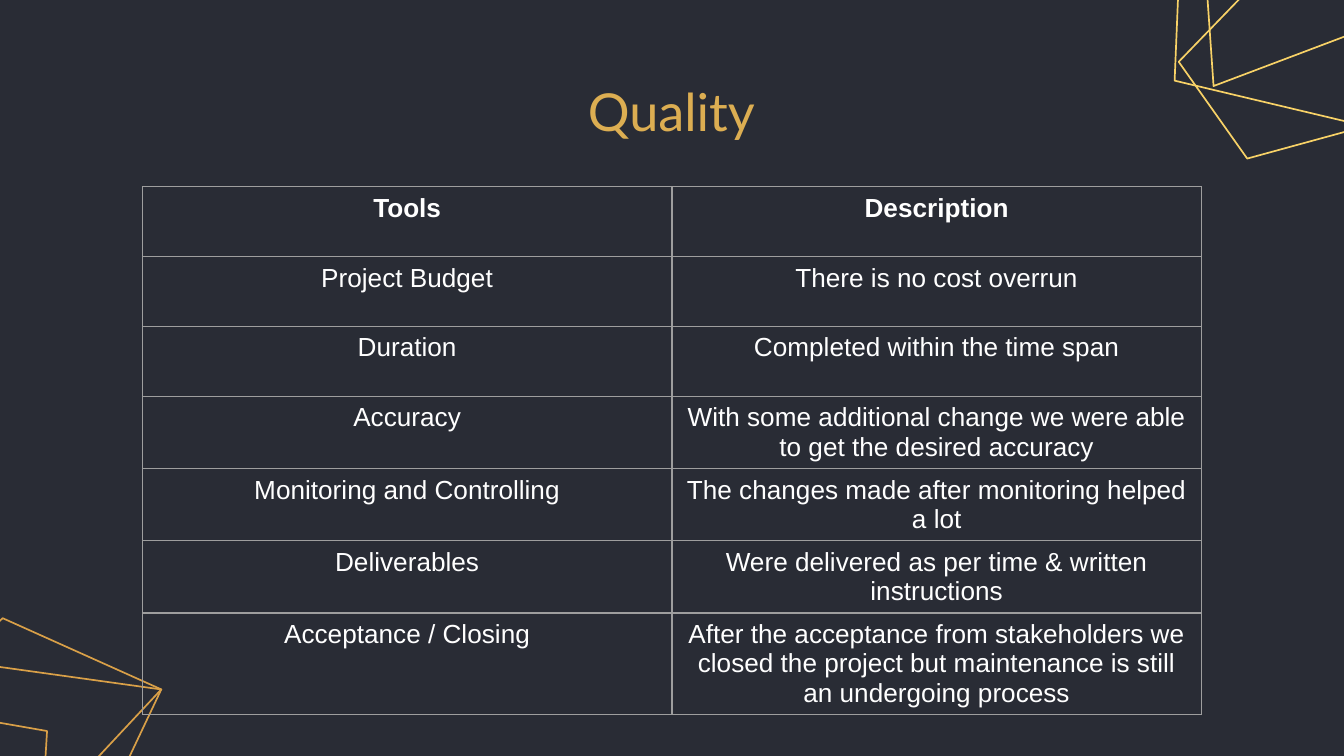
from lxml import etree
from pptx import Presentation
from pptx import util as u
from pptx.dml import color
from pptx.enum import text
from pptx.oxml import ns

GOLD, PALE, DEEP = "DCAE52", "F8D267", "D9A048"
WHITE, GREY, DARK = "FFFFFF", "9E9E9E", "292C35"

TOP = [
    [(9.03, 0.64), (8.87, -1.66), (11.71, -1.27), (11.2, -0.18)],
    [(8.74, 0.6), (8.79, -0.6), (10.48, -1.2), (11.4, -1.06),
     (11.37, -0.48), (10.42, 1)],
    [(9.28, 1.18), (8.77, 0.46), (10.51, -1.34), (11.88, -0.77),
     (10.45, 0.86)],
]
BASE = [
    [(-1.98, 6.83), (-1.91, 5.79), (-0.45, 5.3), (0.35, 5.44),
     (0.32, 5.95), (-0.55, 7.2)],
    [(-1.1, 6.77), (-1.52, 6.13), (0.02, 4.6), (1.2, 5.13), (-0.08, 6.5)],
    [(-1.1, 6.77), (-1.24, 4.79), (1.2, 5.13), (0.76, 6.06)],
]
ROWS = [
    ("Tools", "Description"),
    ("Project Budget", "There is no cost overrun"),
    ("Duration", "Completed within the time span"),
    ("Accuracy",
     "With some additional change we were able to get the desired accuracy"),
    ("Monitoring and Controlling",
     "The changes made after monitoring helped a lot"),
    ("Deliverables", "Were delivered as per time & written instructions"),
    ("Acceptance / Closing",
     "After the acceptance from stakeholders we closed the project but "
     "maintenance is still an undergoing process"),
]


def rgb(code):
    """Turn a hex string into a colour."""
    return color.RGBColor.from_string(code)


def write(frame, words, size=14, font="Arial", ink=WHITE, bold=False):
    """Put one centred, formatted paragraph in a text frame."""
    frame.word_wrap = True
    para = frame.paragraphs[0]
    para.alignment = text.PP_ALIGN.CENTER
    run = para.add_run()
    run.text = words
    run.font.size = u.Pt(size)
    run.font.name = font
    run.font.bold = bold
    run.font.color.rgb = rgb(ink)


def outline(slide, points, ink):
    """Draw a closed, unfilled polygon."""
    spots = [(u.Inches(x), u.Inches(y)) for x, y in points]
    build = slide.shapes.build_freeform(*spots[0])
    build.add_line_segments(spots[1:], close=True)
    shape = build.convert_to_shape()
    shape.shadow.inherit = False
    shape.fill.background()
    shape.line.color.rgb = rgb(ink)
    shape.line.width = u.Pt(0.9)


def head(slide, words):
    """Place and format the title."""
    title = slide.shapes.title
    title.left, title.top = u.Inches(2.18), u.Inches(0.59)
    title.width, title.height = u.Inches(5.63), u.Inches(0.47)
    frame = title.text_frame
    frame.auto_size = text.MSO_AUTO_SIZE.NONE
    frame.vertical_anchor = text.MSO_ANCHOR.MIDDLE
    frame.margin_left = frame.margin_right = u.Inches(0.1)
    frame.margin_top = frame.margin_bottom = u.Inches(0.1)
    write(frame, words, size=28, font="Lato", ink=GOLD)


def border(cell, ink, width):
    """Line all four sides of a cell."""
    props = cell._tc.get_or_add_tcPr()
    for side in ("a:lnL", "a:lnR", "a:lnT", "a:lnB"):
        line = etree.SubElement(props, ns.qn(side), w=str(u.Pt(width)))
        fill = etree.SubElement(line, ns.qn("a:solidFill"))
        etree.SubElement(fill, ns.qn("a:srgbClr"), val=ink)


def grid(slide, rows):
    """Add the table of tools and descriptions."""
    high = u.Inches(0.52)
    table = slide.shapes.add_table(
        len(rows), len(rows[0]), u.Inches(1.06), u.Inches(1.39),
        u.Inches(7.88), high * len(rows)).table
    table.horz_banding = False
    for r, row in enumerate(rows):
        table.rows[r].height = high
        for c, words in enumerate(row):
            cell = table.cell(r, c)
            border(cell, GREY, 0.75)
            cell.fill.background()
            write(cell.text_frame, words, bold=r == 0)


def main():
    """Build and save the slide."""
    deck = Presentation()
    deck.slide_width = u.Inches(10)
    deck.slide_height = u.Inches(10) * 9 // 16
    slide = deck.slides.add_slide(deck.slide_layouts[5])
    slide.background.fill.solid()
    slide.background.fill.fore_color.rgb = rgb(DARK)
    for group, ink in ((TOP, PALE), (BASE, DEEP)):
        for points in group:
            outline(slide, points, ink)
    head(slide, "Quality")
    grid(slide, ROWS)
    deck.save("out.pptx")


if __name__ == "__main__":
    main()
